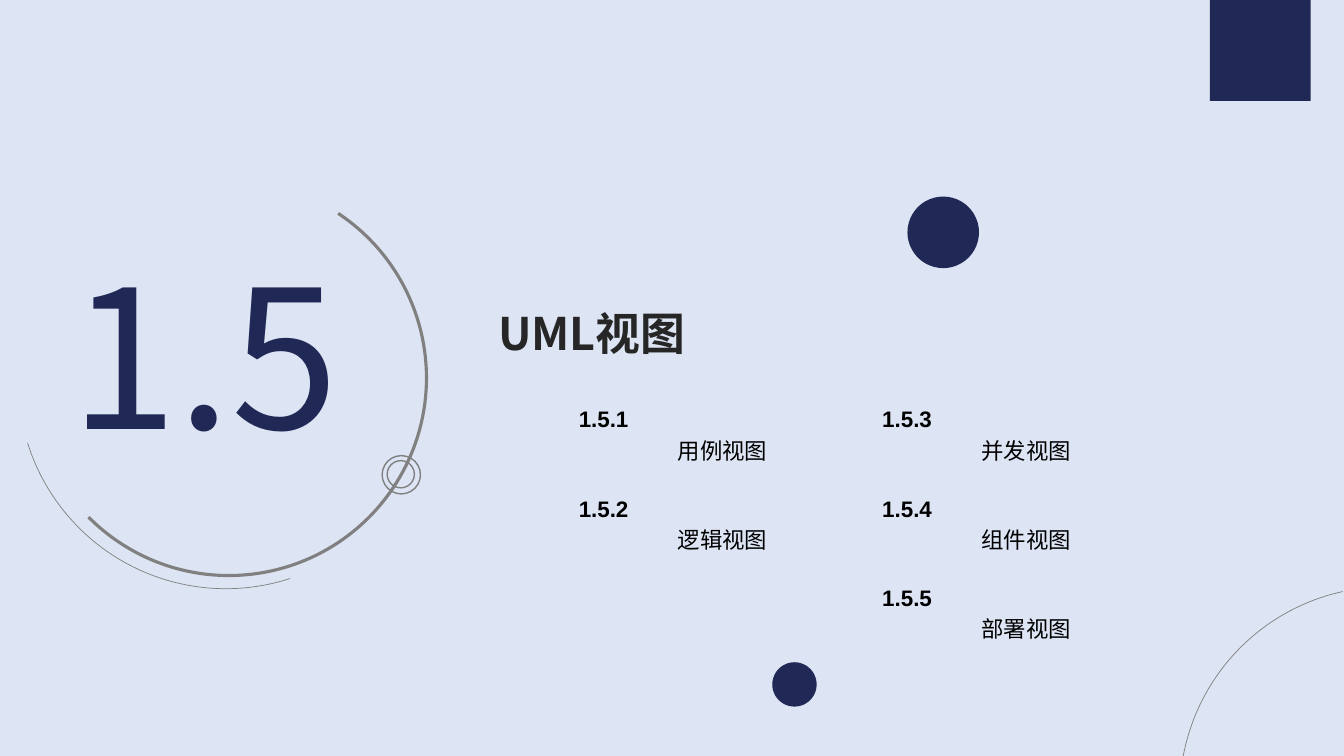
from dataclasses import dataclass
from math import cos, pi, sin

from lxml.etree import SubElement
from pptx import Presentation
from pptx.dml.color import RGBColor
from pptx.enum.shapes import MSO_SHAPE
from pptx.enum.text import MSO_ANCHOR, PP_ALIGN
from pptx.oxml.ns import qn
from pptx.util import Inches, Pt

COLORS = {
    "background": "DDE4F3",
    "navy": "202856",
    "gray": "808080",
    "title": "262626",
    "text": "000000",
}
CJK_FONT = "Noto Sans CJK SC"


@dataclass
class Arc:
    left: float
    top: float
    size: float
    rotation: float
    start: float  # degrees
    end: float
    weight: float


@dataclass
class Circle:
    left: float
    top: float
    size: float
    filled: bool


@dataclass
class Section:
    number: str
    name: str
    column: int
    row: int


ARCS = [
    Arc(0.31, 1.79, 3.92, 63.9, 239.67, 71.35, 2.25),
    Arc(0.18, 1.72, 4.12, 162, 270, 0.68, 0.5),
    Arc(11.7, 5.82, 4.12, 270, 278.78, 347.58, 0.5),
]
CIRCLES = [
    Circle(3.84, 4.57, 0.27, False),
    Circle(3.79, 4.52, 0.38, False),
    Circle(9, 1.95, 0.71, True),
    Circle(7.66, 6.57, 0.44, True),
]
SECTIONS = [
    Section("1.5.1", "用例视图", 0, 0),
    Section("1.5.2", "逻辑视图", 0, 1),
    Section("1.5.3", "并发视图", 1, 0),
    Section("1.5.4", "组件视图", 1, 1),
    Section("1.5.5", "部署视图", 1, 2),
]


def color(name: str) -> RGBColor:
    return RGBColor.from_string(COLORS[name])


def fill_navy(shape) -> None:
    shape.shadow.inherit = False
    shape.fill.solid()
    shape.fill.fore_color.rgb = color("navy")
    shape.line.fill.background()


def outline_gray(shape, weight: float) -> None:
    shape.shadow.inherit = False
    shape.fill.background()
    shape.line.color.rgb = color("gray")
    shape.line.width = Pt(weight)


def draw_arc(slide, arc: Arc) -> None:
    shape = slide.shapes.add_shape(
        MSO_SHAPE.ARC, Inches(arc.left), Inches(arc.top), Inches(arc.size), Inches(arc.size))
    # Adjustments count in units of 100000, angles in 60000ths of a degree
    shape.adjustments[0] = arc.start * 0.6
    shape.adjustments[1] = arc.end * 0.6
    shape.rotation = arc.rotation
    outline_gray(shape, arc.weight)


def draw_circle(slide, circle: Circle) -> None:
    shape = slide.shapes.add_shape(
        MSO_SHAPE.OVAL, Inches(circle.left), Inches(circle.top),
        Inches(circle.size), Inches(circle.size))
    if circle.filled:
        fill_navy(shape)
    else:
        outline_gray(shape, 1)


def draw_half_disc(slide, center: float, radius: float, steps: int = 90) -> None:
    points = [(center + radius * cos(pi * step / steps), radius * sin(pi * step / steps))
              for step in range(steps + 1)]
    builder = slide.shapes.build_freeform(*points[0], scale=Inches(1))
    builder.add_line_segments(points[1:], close=True)
    fill_navy(builder.convert_to_shape())


def write_text(shape, text: str, size: float, font_name: str, color_name: str,
               bold: bool = False, align: PP_ALIGN = PP_ALIGN.LEFT):
    frame = shape.text_frame
    frame.word_wrap = True
    frame.vertical_anchor = MSO_ANCHOR.TOP
    paragraph = frame.paragraphs[0]
    paragraph.text = text
    paragraph.alignment = align
    font = paragraph.font
    font.name, font.size, font.bold = font_name, Pt(size), bold
    font.color.rgb = color(color_name)
    # East Asian typeface for the Chinese characters
    properties = paragraph._p.pPr.find(qn("a:defRPr"))
    SubElement(properties, qn("a:ea")).set("typeface", CJK_FONT)
    return paragraph


def draw_section(slide, section: Section) -> None:
    left = 5.74 + 3.01 * section.column
    top = 3.97 + 0.885 * section.row
    group = slide.shapes.add_group_shape()
    parts = [
        (section.number, top, 0.68, True, PP_ALIGN.LEFT),
        (section.name, top + 0.31, 1.87, False, PP_ALIGN.RIGHT),
    ]
    for text, part_top, width, bold, align in parts:
        box = group.shapes.add_textbox(
            Inches(left), Inches(part_top), Inches(width), Inches(0.32))
        frame = box.text_frame
        frame.margin_left = frame.margin_top = frame.margin_right = frame.margin_bottom = 0
        paragraph = write_text(box, text, 16, "Arial", "text", bold, align)
        paragraph.line_spacing = 1.2
        paragraph.space_before = Pt(2)


def main() -> None:
    presentation = Presentation()
    presentation.slide_width = Inches(13.33)
    presentation.slide_height = Inches(7.5)
    slide = presentation.slides.add_slide(presentation.slide_layouts[5])
    slide.background.fill.solid()
    slide.background.fill.fore_color.rgb = color("background")

    # Chapter number
    number = slide.shapes.add_textbox(Inches(0.6), Inches(2.3), Inches(3.38), Inches(2.42))
    write_text(number, "1.5", 138, "Noto Sans CJK JP", "navy")

    # Chapter title
    title = slide.shapes.title
    title.left, title.top = Inches(4.84), Inches(2.98)
    title.width, title.height = Inches(6.04), Inches(0.64)
    write_text(title, "UML视图", 32, CJK_FONT, "title", bold=True)

    # Decoration
    for arc in ARCS:
        draw_arc(slide, arc)
    for circle in CIRCLES:
        draw_circle(slide, circle)
    draw_half_disc(slide, 12.43, 0.9)

    # Section list
    for section in SECTIONS:
        draw_section(slide, section)

    presentation.save("out.pptx")


if __name__ == "__main__":
    main()
